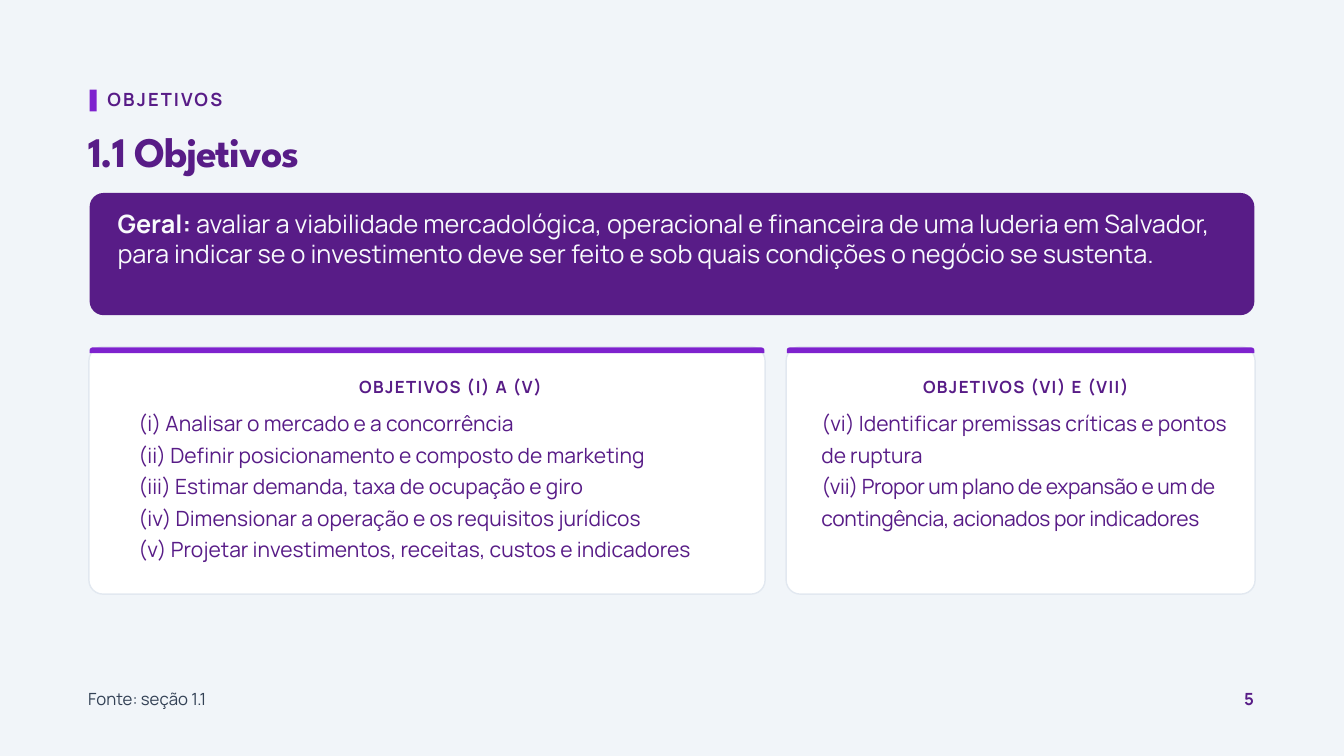
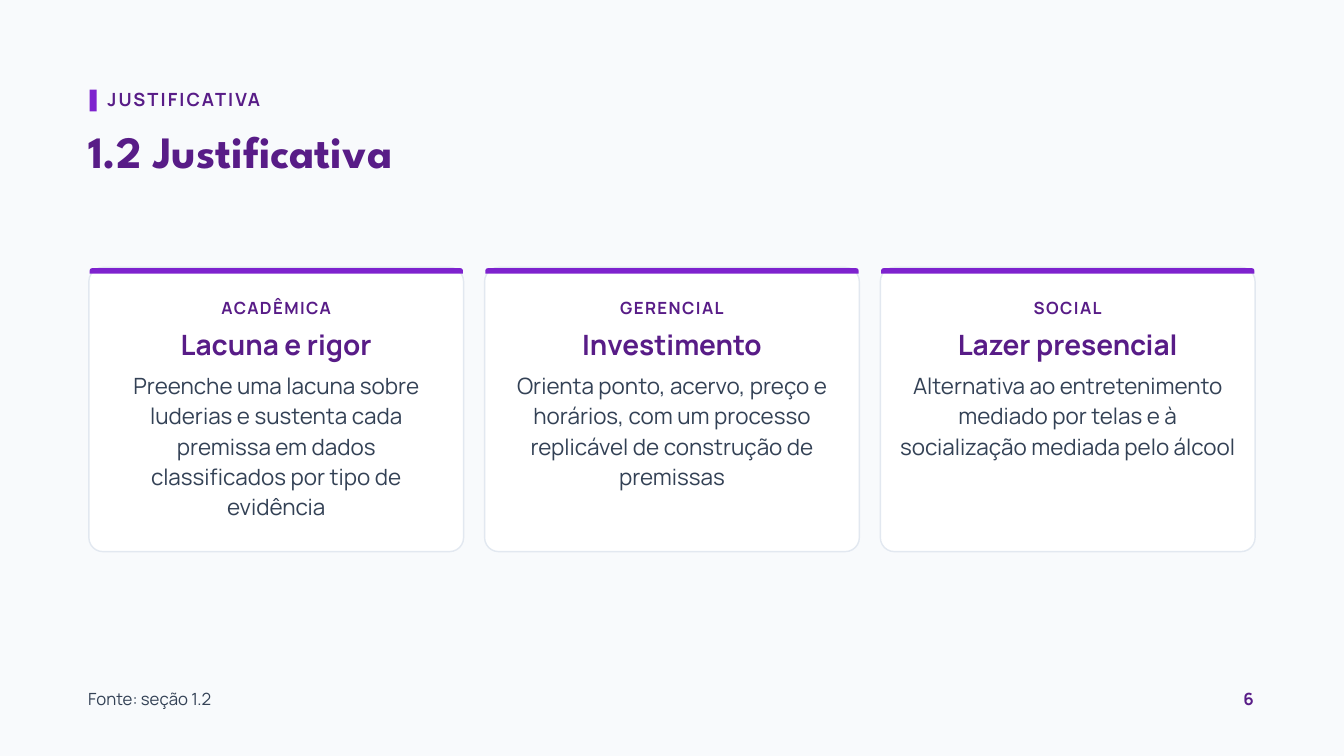
"""Builds the two slides on objectives and justification of the study."""
from pptx import Presentation
from pptx.dml.color import RGBColor
from pptx.enum.shapes import MSO_SHAPE
from pptx.enum.text import PP_ALIGN
from pptx.util import Pt

DEEP, VIVID, SLATE = "581C87", "7E22CE", "334155"
WHITE, PALE, MIST, BORDER = "FFFFFF", "F8FAFC", "F1F5F9", "E2E8F0"
HEAD_FONT, BODY_FONT = "League Spartan", "Manrope"
LEFT, RIGHT, GAP, RADIUS = 96, 1344, 24, 15
TEXT_LEFT = 94.5

OBJECTIVES = {
    "bg": MIST, "kicker": "OBJETIVOS", "title": "1.1 Objetivos",
    "title_size": 45, "title_spc": -1.4, "title_top": 139,
    "source": "Fonte: seção 1.1", "page": "5",
}
JUSTIFICATION = {
    "bg": PALE, "kicker": "JUSTIFICATIVA", "title": "1.2 Justificativa",
    "title_size": 48, "title_spc": 0, "title_top": 137.5,
    "source": "Fonte: seção 1.2", "page": "6",
}
GENERAL_GOAL = [
    ("Geral:", {"bold": True}),
    (" avaliar a viabilidade mercadológica, operacional e financeira de uma "
     "luderia em Salvador, para indicar se o investimento deve ser feito e sob "
     "quais condições o negócio se sustenta.", {}),
]
GOAL_CARDS = [
    {"label": "OBJETIVOS (I) A (V)", "width": 723, "text_left": 148.3, "text_width": 669,
     "goals": ["(i) Analisar o mercado e a concorrência",
               "(ii) Definir posicionamento e composto de marketing",
               "(iii) Estimar demanda, taxa de ocupação e giro",
               "(iv) Dimensionar a operação e os requisitos jurídicos",
               "(v) Projetar investimentos, receitas, custos e indicadores"]},
    {"label": "OBJETIVOS (VI) E (VII)", "width": 501, "text_left": 880, "text_width": 438.5,
     "goals": ["(vi) Identificar premissas críticas e pontos de ruptura",
               [("(vii) Propor um plano de expansão e um de contingência, "
                 "acionados por indicadores", {"spc": -0.4})]]},
]
REASONS = [
    ("ACADÊMICA", "Lacuna e rigor",
     "Preenche uma lacuna sobre luderias e sustenta cada premissa em dados "
     "classificados por tipo de evidência"),
    ("GERENCIAL", "Investimento",
     "Orienta ponto, acervo, preço e horários, com um processo replicável de "
     "construção de premissas"),
    ("SOCIAL", "Lazer presencial",
     "Alternativa ao entretenimento mediado por telas e à socialização mediada "
     "pelo álcool"),
]


def rgb(color):
    return RGBColor.from_string(color)


def add_text(s, x, y, w, h, paragraphs, size=18, color=DEEP, font=BODY_FONT,
             bold=False, spc=0, align=PP_ALIGN.LEFT, leading=1.2):
    tf = s.shapes.add_textbox(Pt(x), Pt(y), Pt(w), Pt(h)).text_frame
    tf.word_wrap = True
    tf.margin_left = tf.margin_right = tf.margin_top = tf.margin_bottom = 0
    for i, runs in enumerate(paragraphs):
        p = tf.add_paragraph() if i else tf.paragraphs[0]
        p.alignment = align
        p.line_spacing = Pt(size * leading)
        for content, changes in [(runs, {})] if isinstance(runs, str) else runs:
            r = p.add_run()
            r.text = content
            r.font.name = font
            r.font.size = Pt(size)
            r.font.bold = changes.get("bold", bold)
            r.font.color.rgb = rgb(color)
            run_spc = changes.get("spc", spc)
            if run_spc:
                r._r.get_or_add_rPr().set("spc", str(round(run_spc * 100)))


def add_block(s, kind, x, y, w, h, fill, line=None, adjust=()):
    sp = s.shapes.add_shape(kind, Pt(x), Pt(y), Pt(w), Pt(h))
    sp.shadow.inherit = False
    sp.fill.solid()
    sp.fill.fore_color.rgb = rgb(fill)
    if line:
        sp.line.color.rgb = rgb(line)
        sp.line.width = Pt(1.5)
    else:
        sp.line.fill.background()
    for i, value in enumerate(adjust):
        sp.adjustments[i] = value


def add_card(s, x, y, w, h, label, text_left, text_width):
    add_block(s, MSO_SHAPE.ROUNDED_RECTANGLE, x - 0.75, y - 0.75, w + 1.5, h,
              WHITE, BORDER, [RADIUS / min(w, h)])
    add_block(s, MSO_SHAPE.ROUND_2_SAME_RECTANGLE, x, y, w, 6, VIVID, adjust=[0.5, 0])
    add_text(s, text_left, y + 31.7, text_width, 22, [label], bold=True, spc=1.5,
             align=PP_ALIGN.CENTER)


def add_frame(prs, content):
    s = prs.slides.add_slide(prs.slide_layouts[6])
    s.background.fill.solid()
    s.background.fill.fore_color.rgb = rgb(content["bg"])
    add_block(s, MSO_SHAPE.RECTANGLE, LEFT, 96, 7.5, 23.25, VIVID)
    add_text(s, 115.2, 94.5, 344, 24.5, [content["kicker"]], size=19.5, bold=True, spc=2.25)
    add_text(s, TEXT_LEFT, content["title_top"], 1301, 50, [content["title"]],
             size=content["title_size"], font=HEAD_FONT, bold=True,
             spc=content["title_spc"], leading=1.1)
    add_text(s, TEXT_LEFT, 738, 193, 22, [content["source"]], color=SLATE)
    add_text(s, 1331.5, 738, 12, 22, [content["page"]], bold=True, align=PP_ALIGN.RIGHT)
    return s


def add_objectives(prs):
    s = add_frame(prs, OBJECTIVES)
    add_block(s, MSO_SHAPE.ROUNDED_RECTANGLE, LEFT, 206.7, RIGHT - LEFT, 131, DEEP,
              adjust=[RADIUS / 131])
    add_text(s, 126, 223.2, 1193, 98.5, [GENERAL_GOAL], size=27, color=PALE)
    x, top = LEFT, 372.3
    for card in GOAL_CARDS:
        left, width = card["text_left"], card["text_width"]
        add_card(s, x, top, card["width"], 265, card["label"], left, width)
        add_text(s, left, top + 61.2, width, 168.75, card["goals"], size=22.5, leading=1.5)
        x += card["width"] + GAP


def add_justification(prs):
    s = add_frame(prs, JUSTIFICATION)
    top, pad = 287.3, 20
    width = (RIGHT - LEFT - GAP * (len(REASONS) - 1)) / len(REASONS)
    for i, (label, heading, body) in enumerate(REASONS):
        x = LEFT + i * (width + GAP)
        left, inner = x + pad, width - 2 * pad
        add_card(s, x, top, width, 304.5, label, left, inner)
        add_text(s, left, top + 63.4, inner, 38, [heading], size=30, bold=True,
                 align=PP_ALIGN.CENTER)
        add_text(s, left, top + 108, inner, 162, [body], size=24, color=SLATE,
                 align=PP_ALIGN.CENTER, leading=1.35)


def main():
    prs = Presentation()
    prs.slide_width, prs.slide_height = Pt(1440), Pt(810)
    add_objectives(prs)
    add_justification(prs)
    prs.save("out.pptx")


if __name__ == "__main__":
    main()
